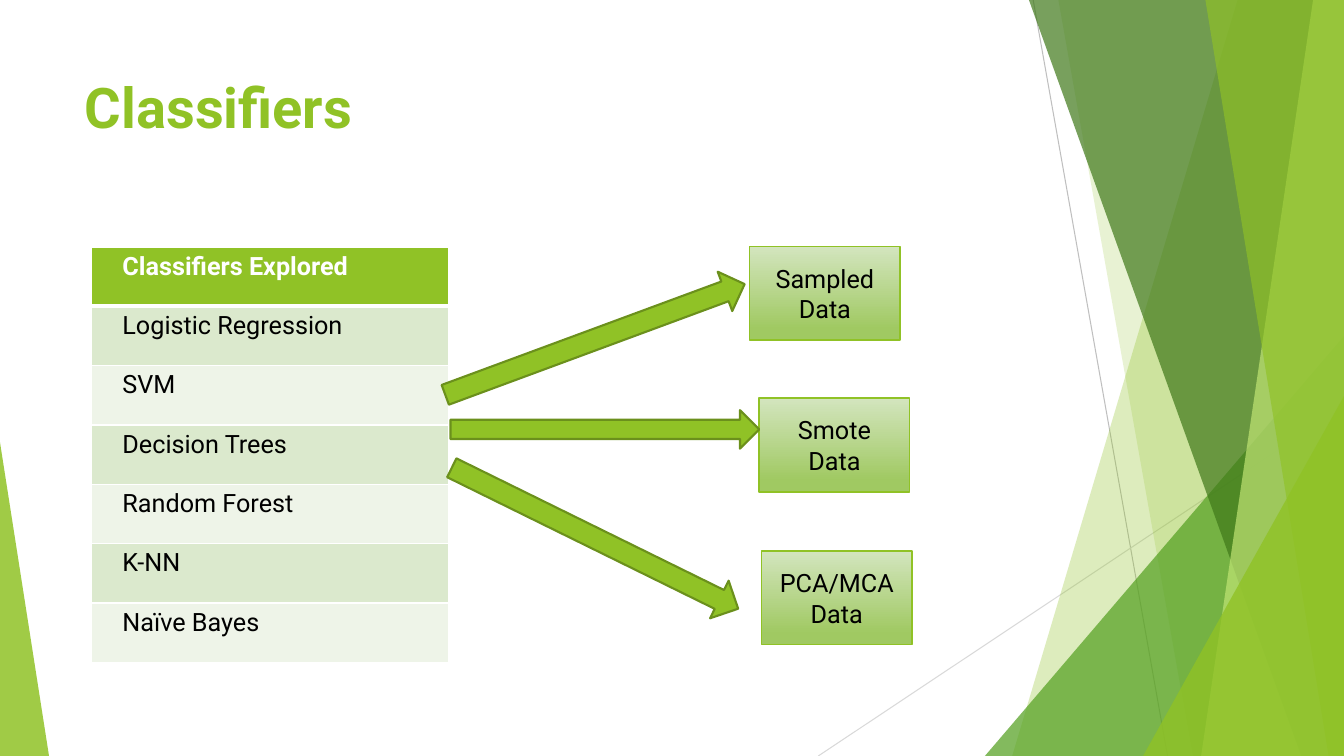
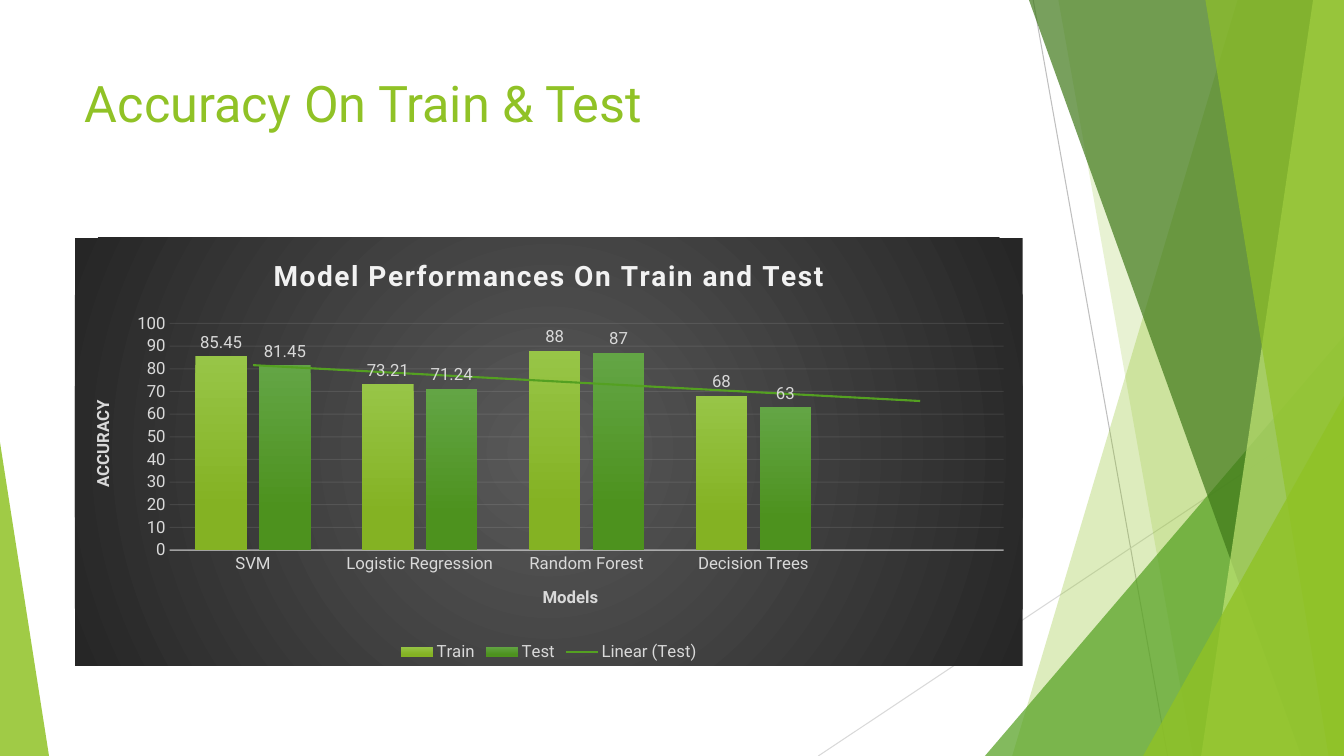
from pptx import Presentation
from pptx import util as u
from pptx.chart import data as cd
from pptx.dml import color
from pptx.enum import chart as ce, shapes, text
from pptx.oxml import parse_xml
from pptx.oxml import ns
from lxml import etree

Pt = u.Pt
GREEN, DARK, PALE, FONT = "90C226", "54A021", "D9D9D9", "Roboto"
RIGHT_EDGE, BOTTOM = 960, 540
BANDS = [
    (884, 723, GREEN, 30), (756, 852, GREEN, 20),
    (703.5, 240, 256.5, 1, DARK, 72),
    (735, 929.5, "3F7819", 70), (938, 858, "C0E474", 70), (861, 949, GREEN, 65),
    (816.5, 283, 143.5, 1, GREEN, 80), (0, 316, 35, 0, GREEN, 85),
]


def rgb(value):
    return color.RGBColor.from_string(value)


def assign(obj, fmt):
    for name, value in fmt.items():
        setattr(obj, name, value)


class Deck:
    """Hold the green style and the current slide, and draw each kind of element."""

    def __init__(self):
        self.prs = Presentation()
        assign(self.prs, {"slide_width": Pt(RIGHT_EDGE), "slide_height": Pt(BOTTOM)})

    def slide(self, title, size, bold=False):
        self.s = self.prs.slides.add_slide(self.prs.slide_layouts[6])
        self.line(738, 0, 834, BOTTOM, "BFBFBF")
        self.line(RIGHT_EDGE, 290, 584.5, BOTTOM, PALE)
        for band in BANDS:
            self.band(*band) if len(band) == 4 else self.corner(*band)
        tf = self.s.shapes.add_textbox(Pt(53.5), Pt(48), Pt(677), Pt(104)).text_frame
        tf.word_wrap = True
        self.label(tf, title, size, GREEN, bold)

    def font(self, font, size, value, bold=False):
        assign(font, {"name": FONT, "size": Pt(size), "bold": bold})
        font.color.rgb = rgb(value)

    def label(self, tf, words, size, value, bold=False, align=text.PP_ALIGN.LEFT):
        p = tf.paragraphs[0]
        p.alignment = align
        r = p.add_run()
        r.text = words
        self.font(r.font, size, value, bold)
        return r

    def line(self, x1, y1, x2, y2, value):
        cx = self.s.shapes.add_connector(
            shapes.MSO_CONNECTOR.STRAIGHT, Pt(x1), Pt(y1), Pt(x2), Pt(y2))
        self.outline(cx, value, 0.75)
        etree.SubElement(cx._element.spPr, ns.qn("a:effectLst"))

    def outline(self, sp, value, width):
        sp.line.color.rgb = rgb(value)
        sp.line.width = Pt(width)

    def tint(self, sp, value, opacity):
        sp.shadow.inherit = False
        sp.line.fill.background()
        sp.fill.solid()
        sp.fill.fore_color.rgb = rgb(value)
        clr = sp._element.spPr.find(".//" + ns.qn("a:srgbClr"))
        etree.SubElement(clr, ns.qn("a:alpha"), val=str(opacity * 1000))

    def band(self, top_x, bottom_x, value, opacity):
        fb = self.s.shapes.build_freeform(Pt(top_x), 0)
        fb.add_line_segments([(Pt(x), Pt(y)) for x, y in (
            (RIGHT_EDGE, 0), (RIGHT_EDGE, BOTTOM), (bottom_x, BOTTOM))])
        self.tint(fb.convert_to_shape(), value, opacity)

    def corner(self, x, y, w, apex, value, opacity):
        sp = self.shape(shapes.MSO_SHAPE.ISOSCELES_TRIANGLE, x, y, w, BOTTOM - y)
        sp.adjustments[0] = apex
        self.tint(sp, value, opacity)

    def shape(self, kind, x, y, w, h):
        sp = self.s.shapes.add_shape(kind, Pt(x), Pt(y), Pt(w), Pt(h))
        sp.shadow.inherit = False
        return sp

    def gradient(self, fill, first, last, end):
        fill.gradient()
        fill.gradient_angle = 270
        for stop, value, pos in zip(fill.gradient_stops, (first, last), (0, end)):
            stop.color.rgb = rgb(value)
            stop.position = pos

    def box(self, words, x, y):
        sp = self.shape(shapes.MSO_SHAPE.RECTANGLE, x, y, 107.5, 67)
        self.gradient(sp.fill, "D3E5BE", "A0C962", 0.88)
        self.outline(sp, GREEN, 1)
        sp.text_frame.vertical_anchor = text.MSO_ANCHOR.MIDDLE
        self.label(sp.text_frame, words, 18, "000000", align=text.PP_ALIGN.CENTER)

    def arrow(self, x, y, w, h, rotation=0):
        sp = self.shape(shapes.MSO_SHAPE.RIGHT_ARROW, x, y, w, h)
        sp.rotation = rotation
        sp.fill.solid()
        sp.fill.fore_color.rgb = rgb(GREEN)
        self.outline(sp, "6B901C", 1.5)

    def border(self, cell, side, width):
        cell._tc.get_or_add_tcPr().append(parse_xml(
            f'<a:ln{side} {ns.nsdecls("a")} w="{Pt(width)}"><a:solidFill>'
            f'<a:srgbClr val="FFFFFF"/></a:solidFill></a:ln{side}>'))

    def table(self, rows, x, y, w, row_h):
        tbl = self.s.shapes.add_table(
            len(rows), 1, Pt(x), Pt(y), Pt(w), Pt(row_h * len(rows))).table
        for i, words in enumerate(rows):
            cell = tbl.cell(i, 0)
            assign(cell, {"margin_left": Pt(22.5), "margin_right": Pt(22.5)})
            for side, width in (("L", 1), ("R", 1), ("T", 3 if i == 1 else 1),
                                ("B", 3 if i == 0 else 1)):
                self.border(cell, side, width)
            cell.fill.solid()
            cell.fill.fore_color.rgb = rgb(
                GREEN if i == 0 else "DBE9CD" if i % 2 else "EEF4E8")
            self.label(cell.text_frame, words, 18,
                       "000000" if i else "FFFFFF", bold=i == 0)

    def axis(self, axis, title):
        self.label(axis.axis_title.text_frame, title, 12, PALE, True,
                   text.PP_ALIGN.CENTER)
        self.font(axis.tick_labels.font, 12, PALE)
        axis.major_tick_mark = ce.XL_TICK_MARK.NONE

    def faint(self, line, width, opacity):
        line.color.rgb = rgb("F2F2F2")
        line.width = Pt(width)
        clr = line._get_or_add_ln().find(".//" + ns.qn("a:srgbClr"))
        etree.SubElement(clr, ns.qn("a:alpha"), val=str(opacity * 1000))

    def chart(self, title, cats, series, x, y, w, h):
        data = cd.CategoryChartData()
        data.categories = cats
        for name, values, *_ in series:
            data.add_series(name, values)
        ch = self.s.shapes.add_chart(ce.XL_CHART_TYPE.COLUMN_CLUSTERED,
                                     Pt(x), Pt(y), Pt(w), Pt(h), data).chart
        self.font(ch.font, 10, "000000")
        r = self.label(ch.chart_title.text_frame, title, 20, "F2F2F2", True,
                       text.PP_ALIGN.CENTER)
        r.font._element.set("spc", "100")
        ch.has_legend = True
        assign(ch.legend, {"position": ce.XL_LEGEND_POSITION.BOTTOM,
                           "include_in_layout": False})
        self.font(ch.legend.font, 12, PALE)
        self.axis(ch.category_axis, "Models")
        self.faint(ch.category_axis.format.line, 1, 54)
        va = ch.value_axis
        self.axis(va, "ACCURACY")
        assign(va, {"minimum_scale": 0, "maximum_scale": 100, "major_unit": 10})
        va.format.line.fill.background()
        self.faint(va.major_gridlines.format.line, 0.75, 10)
        plot = ch.plots[0]
        assign(plot, {"gap_width": 100, "overlap": -24, "vary_by_categories": False})
        for ser, (_, _, first, last) in zip(plot.series, series):
            self.gradient(ser.format.fill, first, last, 0.78)
            labels = ser.data_labels
            assign(labels, {"show_value": True,
                            "position": ce.XL_LABEL_POSITION.OUTSIDE_END})
            self.font(labels.font, 12, PALE)
        self.trend(plot.series[1])
        self.backdrop(ch)

    def trend(self, ser):
        ser._element.find(ns.qn("c:cat")).addprevious(parse_xml(
            f'<c:trendline {ns.nsdecls("c", "a")}><c:name>Linear (Test)</c:name>'
            f'<c:spPr><a:ln w="{Pt(1.5)}"><a:solidFill><a:srgbClr val="{DARK}"/>'
            '</a:solidFill></a:ln></c:spPr><c:trendlineType val="linear"/>'
            '<c:dispRSqr val="0"/><c:dispEq val="0"/></c:trendline>'))

    def backdrop(self, ch):
        root = ch._chartSpace.find(ns.qn("c:chart"))
        root.addnext(parse_xml(
            f'<c:spPr {ns.nsdecls("c", "a")}><a:gradFill><a:gsLst>'
            '<a:gs pos="0"><a:srgbClr val="595959"/></a:gs>'
            '<a:gs pos="100000"><a:srgbClr val="262626"/></a:gs></a:gsLst>'
            '<a:path path="circle"><a:fillToRect l="50000" t="50000" r="50000" '
            'b="50000"/></a:path></a:gradFill><a:ln><a:noFill/></a:ln></c:spPr>'))
        area = root.find(ns.qn("c:plotArea"))
        for old in area.findall(ns.qn("c:layout")):
            area.remove(old)
        places = "".join(f'<c:{k} val="{v}"/>' for k, v in (
            ("layoutTarget", "inner"), ("xMode", "edge"), ("yMode", "edge"),
            ("x", 0.1), ("y", 0.2), ("w", 0.88), ("h", 0.53)))
        area.insert(0, parse_xml(
            f'<c:layout {ns.nsdecls("c")}><c:manualLayout>{places}'
            '</c:manualLayout></c:layout>'))


def main():
    d = Deck()
    d.slide("Classifiers", 40, True)
    d.table(["Classifiers Explored", "Logistic Regression", "SVM", "Decision Trees",
             "Random Forest", "K-NN", "Naïve Bayes"], 65, 176.4, 255.5, 42.4)
    for words, x, y in (("Sampled Data", 535.5, 176), ("Smote Data", 542.3, 284.4),
                        ("PCA/MCA Data", 544, 393.6)):
        d.box(words, x, y)
    d.arrow(311, 227.5, 228, 30, 339.7)
    d.arrow(321.8, 293, 220.5, 27.5)
    d.arrow(311, 369.5, 228, 30, 26.2)

    d.slide("Accuracy On Train & Test", 36)
    d.chart("Model Performances On Train and Test",
            ["SVM", "Logistic Regression", "Random Forest", "Decision Trees", ""],
            [("Train", (85.45, 73.21, 88, 68, None), "97C547", "84B223"),
             ("Test", (81.45, 71.24, 87, 63, None), "63A545", "4D921E")],
            53.5, 170, 677, 305.5)
    d.prs.save("out.pptx")


if __name__ == "__main__":
    main()
